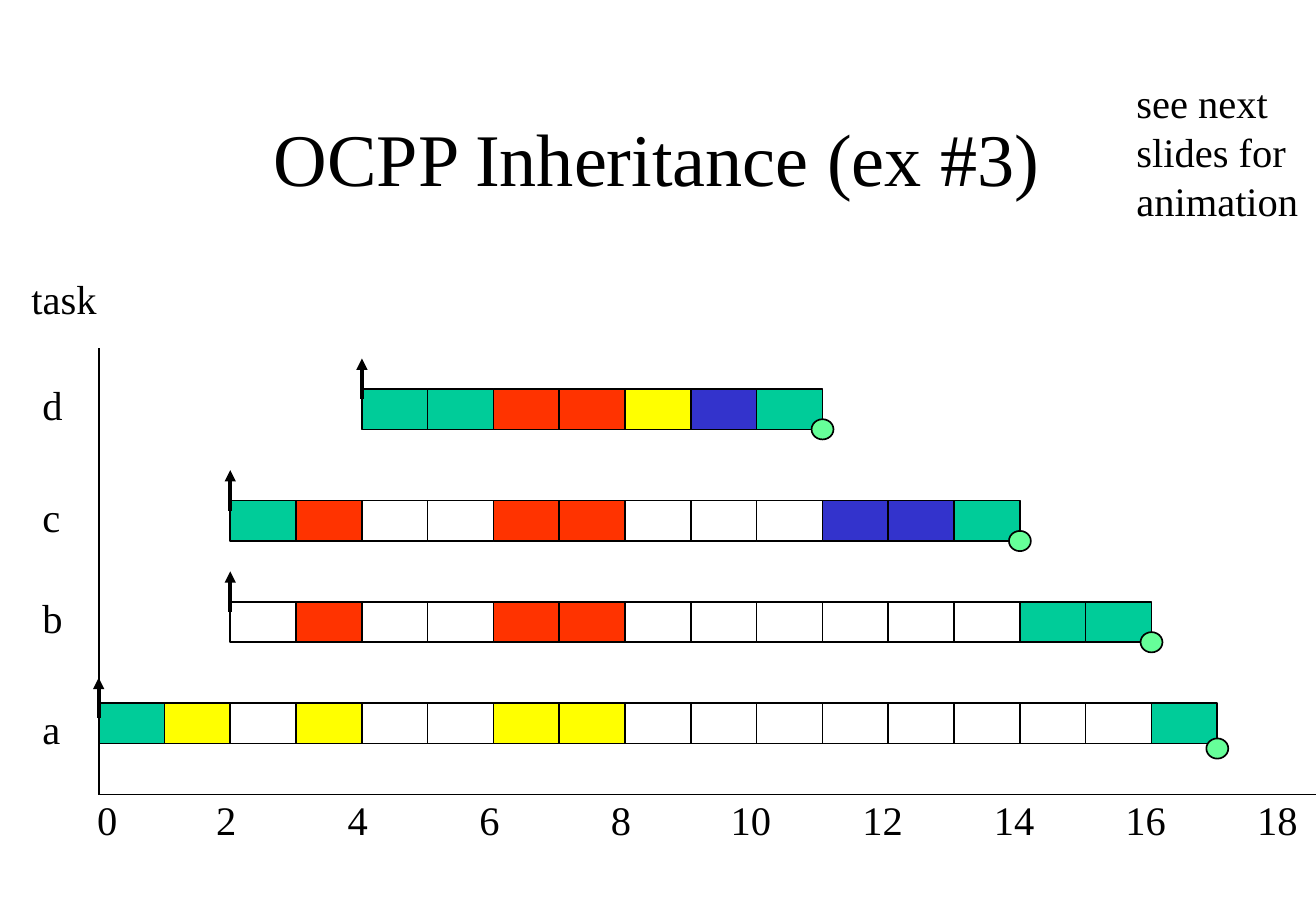
import dataclasses
import typing

import lxml.etree
import pptx
import pptx.dml.color
import pptx.enum.shapes
import pptx.enum.text
import pptx.oxml.ns
import pptx.slide
import pptx.util

Pt = pptx.util.Pt
RGBColor = pptx.dml.color.RGBColor
Shapes = pptx.enum.shapes.MSO_SHAPE
Anchor = pptx.enum.text.MSO_ANCHOR
Align = pptx.enum.text.PP_ALIGN

BLACK = RGBColor(0x00, 0x00, 0x00)
FINISH_GREEN = RGBColor(0x66, 0xFF, 0x99)
CELL_COLOURS = {
    "G": RGBColor(0x00, 0xCC, 0x99),
    "R": RGBColor(0xFF, 0x33, 0x00),
    "Y": RGBColor(0xFF, 0xFF, 0x00),
    "B": RGBColor(0x33, 0x33, 0xCC),
    ".": None,
}

PAGE_WIDTH, PAGE_HEIGHT = 780, 540
ORIGIN_X, AXIS_TOP, AXIS_Y = 58.5, 206.5, 471
UNIT, CELL_HEIGHT = 39, 24
LABEL_HEIGHT = 36
LINE_FACTOR = 1.2


@dataclasses.dataclass(frozen=True)
class Task:
    """One row of the schedule; each letter of cells is one time unit."""
    name: str
    start: int
    cells: str
    top: float
    label_top: float
    label_width: float
    mark_shift: float = 0


@dataclasses.dataclass(frozen=True)
class Label:
    """A piece of text and its frame in points."""
    lines: tuple[str, ...]
    left: float
    top: float
    width: float
    height: float = LABEL_HEIGHT
    size: float = 24
    align: typing.Any = Align.LEFT
    anchor: typing.Any = Anchor.TOP


TASKS = (
    Task("a", 0, "GY.Y..YY........G", 416.7, 414, 25, mark_shift=3),
    Task("b", 2, ".R..RR......GG", 356.7, 348, 26.4),
    Task("c", 2, "GR..RR...BBG", 296.7, 288, 25),
    Task("d", 4, "GGRRYBG", 230.5, 222, 26.4),
)

CAPTIONS = (
    Label(("OCPP Inheritance (ex #3)",), 58.5, 48, 662, 90, 44,
          Align.CENTER, Anchor.MIDDLE),
    Label(("task",), 11.5, 159, 53.5),
    Label(("see next", "slides for", "animation"), 666.5, 43, 111, 94.5),
)


def set_values(target: typing.Any, values: dict[str, typing.Any]) -> None:
    """Set each named attribute on the target."""
    for name, value in values.items():
        setattr(target, name, value)


def time_x(time: float) -> float:
    """Return the horizontal position of a moment on the time axis."""
    return ORIGIN_X + time * UNIT


def add_label(page: pptx.slide.Slide, label: Label) -> None:
    """Add a text box with one paragraph for each line."""
    box = page.shapes.add_textbox(
        Pt(label.left), Pt(label.top), Pt(label.width), Pt(label.height))
    frame = box.text_frame
    set_values(frame, {"word_wrap": False, "vertical_anchor": label.anchor,
                       "text": "\n".join(label.lines)})
    for para in frame.paragraphs:
        set_values(para, {"alignment": label.align,
                          "line_spacing": Pt(label.size * LINE_FACTOR)})
        set_values(para.font, {"name": "Times New Roman", "size": Pt(label.size)})
        para.font.color.rgb = BLACK


def add_figure(page: pptx.slide.Slide, kind: Shapes, left: float, top: float,
               width: float, height: float,
               colour: typing.Optional[RGBColor]) -> None:
    """Add an outlined shape, left unfilled when it has no colour."""
    figure = page.shapes.add_shape(kind, Pt(left), Pt(top), Pt(width), Pt(height))
    figure.shadow.inherit = False
    if colour is None:
        figure.fill.background()
    else:
        figure.fill.solid()
        figure.fill.fore_color.rgb = colour
    figure.line.color.rgb = BLACK
    figure.line.width = Pt(1)


def add_line(page: pptx.slide.Slide, start: tuple[float, float],
             end: tuple[float, float], width: float = 1,
             arrow: bool = False) -> None:
    """Add a straight line, with an arrowhead at its end if asked."""
    line = page.shapes.add_connector(
        pptx.enum.shapes.MSO_CONNECTOR.STRAIGHT, *map(Pt, (*start, *end)))
    line.line.color.rgb = BLACK
    line.line.width = Pt(width)
    qualified = pptx.oxml.ns.qn
    properties = line._element.spPr
    if arrow:
        lxml.etree.SubElement(properties.find(qualified("a:ln")),
                              qualified("a:tailEnd"), type="triangle")
    lxml.etree.SubElement(properties, qualified("a:effectLst"))


def add_task(page: pptx.slide.Slide, task: Task) -> None:
    """Draw a task's name, cells, release arrow and finish marker."""
    add_label(page, Label((task.name,), 18, task.label_top, task.label_width))
    for time, code in enumerate(task.cells, task.start):
        add_figure(page, Shapes.RECTANGLE, time_x(time), task.top,
                   UNIT, CELL_HEIGHT, CELL_COLOURS[code])
    release_x = time_x(task.start)
    arrow_top = task.top - 18 + task.mark_shift
    add_line(page, (release_x, arrow_top + 24), (release_x, arrow_top), 2.25, True)
    finish_x = time_x(task.start + len(task.cells))
    add_figure(page, Shapes.OVAL, finish_x - 6.5, task.top + 18 + task.mark_shift,
               13, 12, FINISH_GREEN)


def add_axes(page: pptx.slide.Slide) -> None:
    """Draw both axes and the even time labels."""
    add_line(page, (ORIGIN_X, AXIS_TOP), (ORIGIN_X, AXIS_Y))
    add_line(page, (ORIGIN_X, AXIS_Y), (PAGE_WIDTH, AXIS_Y))
    for time in range(0, 19, 2):
        if time == 0:
            offset, width = 8, 26.4
        elif time < 10:
            offset, width = 15.5, 26.4
        else:
            offset, width = 22.5, 38.4
        add_label(page, Label((str(time),), time_x(time) - offset, 468, width))


def main() -> None:
    """Build and save the deck."""
    deck = pptx.Presentation()
    set_values(deck, {"slide_width": Pt(PAGE_WIDTH), "slide_height": Pt(PAGE_HEIGHT)})
    page = deck.slides.add_slide(deck.slide_layouts[6])
    for caption in CAPTIONS:
        add_label(page, caption)
    add_axes(page)
    for task in TASKS:
        add_task(page, task)
    deck.save("out.pptx")


main()
